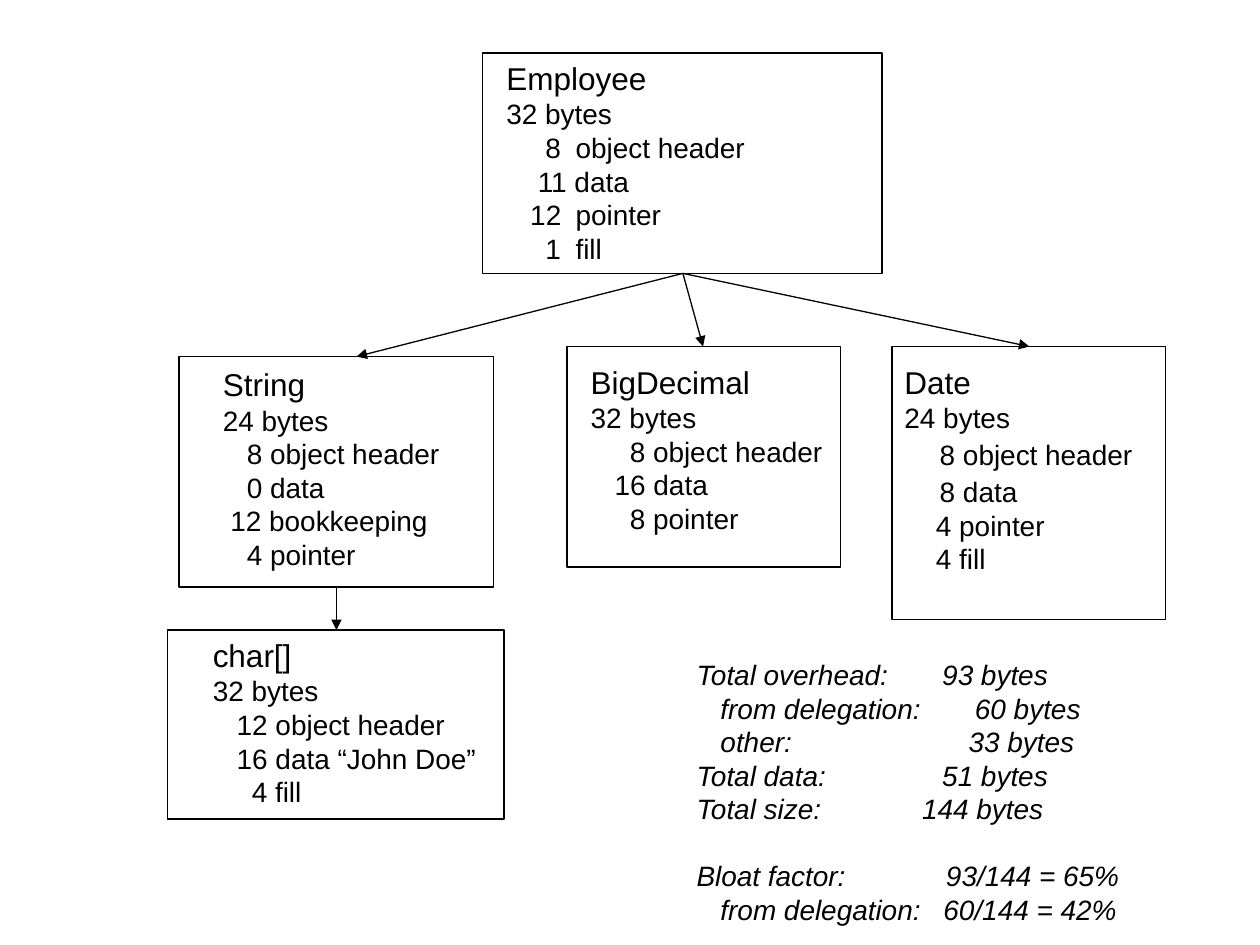
import pptx
import pptx.util
import pptx.dml.color
import pptx.enum.shapes
import pptx.oxml.ns
from lxml import etree

Inches, Pt = pptx.util.Inches, pptx.util.Pt
COLORS = {"ink": "000000"}
FONT = "Arial"

# Each box: frame, text frame, name, then lines of (text, tab stops, space before)
BOXES = [
    ((3.83, 0.42, 3.17, 1.75), (3.92, 0.42, 2.44, 1.75), "Employee", [
        ("32 bytes",),
        ("\t8\tobject header", (0.31, 0.55)),
        ("\t11 data", (0.25,)),
        ("\t12\tpointer", (0.19, 0.55)),
        ("\t1\tfill", (0.31, 0.55))]),
    ((1.42, 2.83, 2.5, 1.83), (1.67, 2.85, 2.01, 1.74), "String", [
        ("24 bytes",),
        ("\t8 object header", (0.19,)),
        ("\t0 data", (0.19,)),
        ("\t12 bookkeeping", (0.06,)),
        ("\t4 pointer", (0.19,))]),
    ((1.33, 5, 2.67, 1.5), (1.59, 5, 2.38, 1.47), "char[]", [
        ("32 bytes",),
        ("\t12 object header", (0.19,)),
        ("\t16 data “John Doe”", (0.19,)),
        ("\t4 fill", (0.31,))]),
    ((4.5, 2.75, 2.17, 1.75), (4.59, 2.83, 2.13, 1.47), "BigDecimal", [
        ("32 bytes",),
        ("\t8 object header", (0.31,)),
        ("\t16 data", (0.19,)),
        ("\t8 pointer", (0.31,))]),
    ((7.08, 2.75, 2.17, 2.17), (7.08, 2.83, 2.42, 1.8), "Date", [
        ("24 bytes",),
        ("\t8 object header", (0.28,), 2),
        ("\t8 data", (0.28,), 2),
        ("\t4 pointer", (0.25,)),
        ("\t4 fill", (0.25,))]),
]
TOTALS = [
    ("Total overhead:\t93 bytes", (1.95,)),
    ("\tfrom delegation:\t60 bytes", (0.19, 2.21)),
    ("\tother:\t33 bytes", (0.19, 2.16)),
    ("Total data:\t51 bytes", (1.95,)),
    ("Total size:\t144 bytes", (1.79,)),
    ("Bloat factor:\t93/144 = 65%", (1.98,), 19),
    ("\tfrom delegation:\t60/144 = 42%", (0.19, 1.96)),
]
ROOT = (5.42, 2.17)
ARROWS = [
    (ROOT, (2.83, 2.83)),
    (ROOT, (5.58, 2.75)),
    (ROOT, (8.17, 2.75)),
    ((2.67, 4.67), (2.67, 5)),
]


def color(name):
    return pptx.dml.color.RGBColor.from_string(COLORS[name])


def add_tag(parent, tag, **attrs):
    return etree.SubElement(parent, pptx.oxml.ns.qn(tag), attrs)


def style_line(line):
    line.color.rgb = color("ink")
    line.width = Pt(0.75)


def add_frame(slide, place):
    kind = pptx.enum.shapes.MSO_SHAPE.RECTANGLE
    shape = slide.shapes.add_shape(kind, *map(Inches, place))
    shape.shadow.inherit = False
    shape.fill.background()
    style_line(shape.line)


def add_text(slide, place, lines, italic=False):
    """Add one paragraph per (size, text, tab stops, space before) line."""
    frame = slide.shapes.add_textbox(*map(Inches, place)).text_frame
    frame.word_wrap = True
    for i, (size, text, stops, gap) in enumerate(lines):
        para = frame.paragraphs[0] if i == 0 else frame.add_paragraph()
        if gap:
            para.space_before = Pt(gap)
        if stops:
            tabs = add_tag(para._p.get_or_add_pPr(), "a:tabLst")
            for stop in stops:
                add_tag(tabs, "a:tab", pos=str(Inches(stop)), algn="l")
        run = para.add_run()
        run.text = text
        run.font.name = FONT
        run.font.size = Pt(size)
        run.font.italic = italic
        run.font.color.rgb = color("ink")


def body(lines):
    """Fill in size 16, no tab stops and no gap where a line leaves them out."""
    return [(16, *line, *((), 0)[len(line) - 1:]) for line in lines]


def add_arrow(slide, start, end):
    kind = pptx.enum.shapes.MSO_CONNECTOR.STRAIGHT
    arrow = slide.shapes.add_connector(kind, *map(Inches, start + end))
    style_line(arrow.line)
    add_tag(arrow.line._get_or_add_ln(), "a:tailEnd", type="triangle")
    add_tag(arrow._element.spPr, "a:effectLst")


def main():
    deck = pptx.Presentation()
    deck.slide_width, deck.slide_height = Inches(10), Inches(7.5)
    slide = deck.slides.add_slide(deck.slide_layouts[6])
    for frame, place, name, lines in BOXES:
        add_frame(slide, frame)
        add_text(slide, place, [(18, name, (), 0)] + body(lines))
    for start, end in ARROWS:
        add_arrow(slide, start, end)
    add_text(slide, (5.43, 5.17, 3.66, 2.3), body(TOTALS), italic=True)
    deck.save("out.pptx")


if __name__ == "__main__":
    main()
